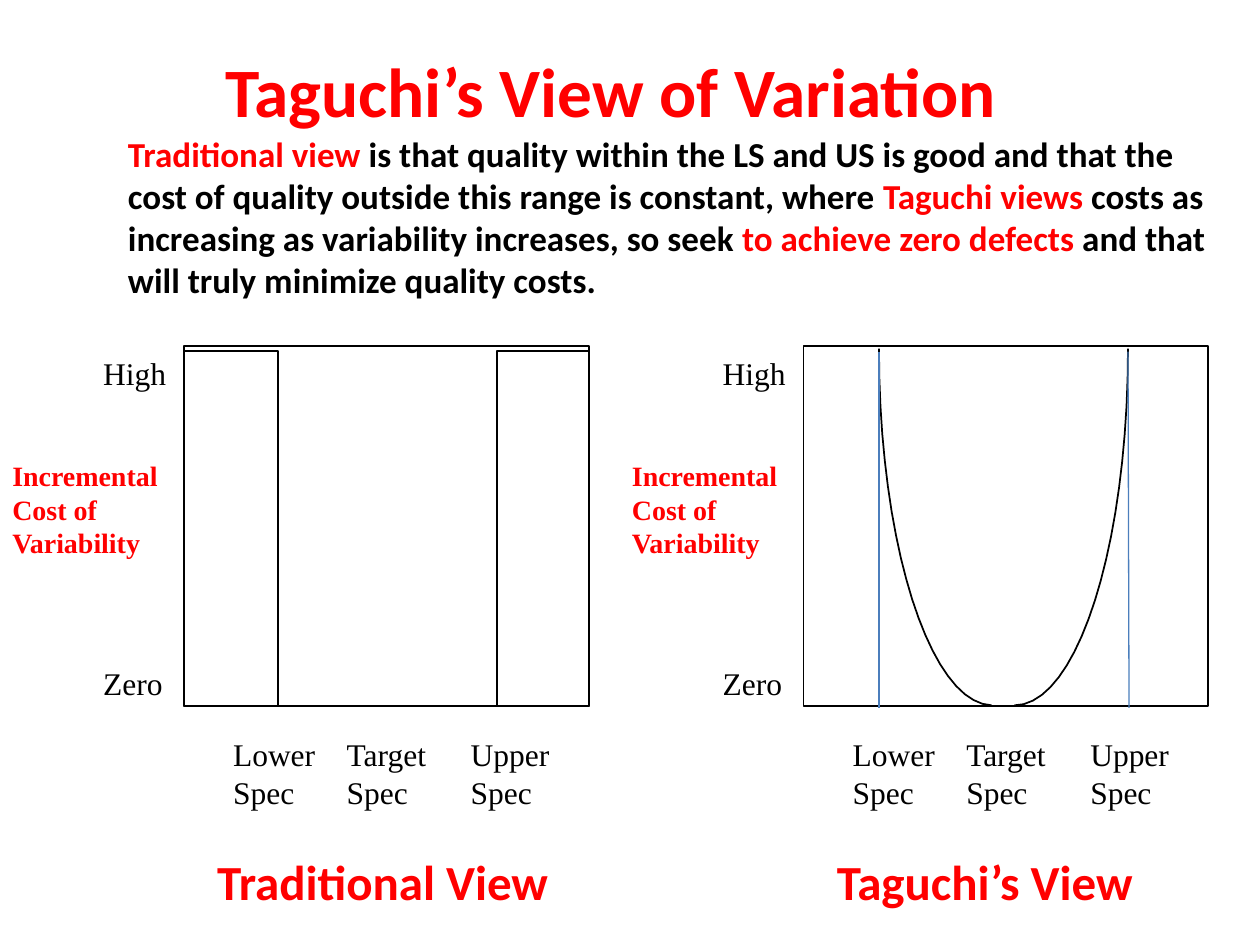
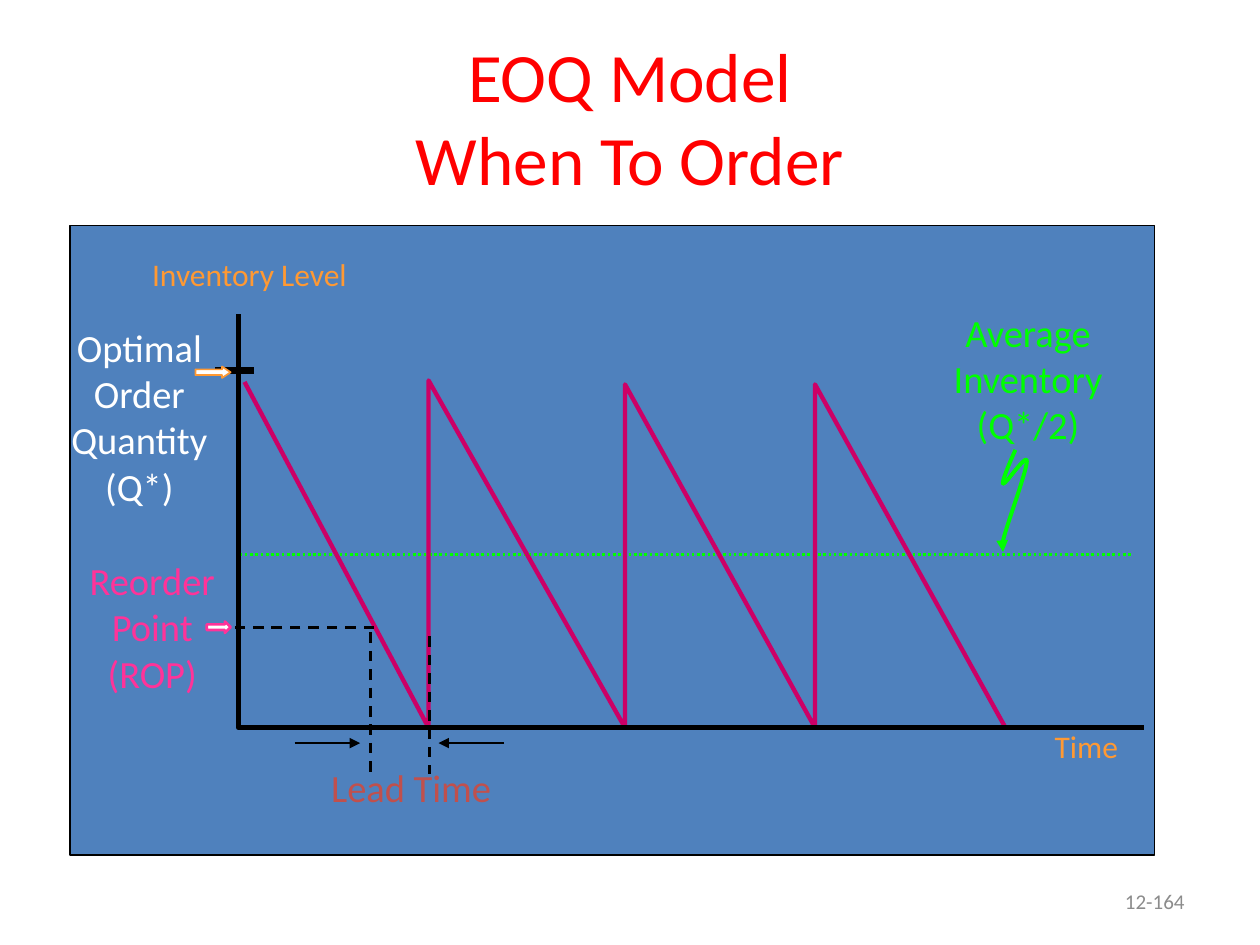
import pptx
import pptx.dml.color
import pptx.enum.dml
import pptx.enum.shapes
import pptx.enum.text
import pptx.oxml.ns
import pptx.util
from lxml import etree

Cm = pptx.util.Cm
Pt = pptx.util.Pt
rgb = pptx.dml.color.RGBColor.from_string
qn = pptx.oxml.ns.qn
ALIGN = pptx.enum.text.PP_ALIGN
ANCHOR = pptx.enum.text.MSO_ANCHOR
DASH = pptx.enum.dml.MSO_LINE
SHAPE = pptx.enum.shapes.MSO_SHAPE

# Shared style
RED, BLACK, WHITE, GREEN = "FF0000", "000000", "FFFFFF", "00FF00"
ORANGE, PINK, MAGENTA, BLUE = "FF9933", "FF3399", "CC0066", "4F81BD"
SERIF = "Times New Roman"
TITLE = dict(size=39.6, color=RED, align=ALIGN.CENTER, anchor=ANCHOR.MIDDLE)


def add_text(s, box, lines, size, color=BLACK, font="Calibri", bold=False,
             align=ALIGN.LEFT, anchor=ANCHOR.TOP):
    """Write one paragraph per line; a line is a string or a list of (text, colour)."""
    tf = s.shapes.add_textbox(*[Cm(v) for v in box]).text_frame
    tf.word_wrap = True
    tf.vertical_anchor = anchor
    for i, line in enumerate(lines):
        p = tf.paragraphs[0] if i == 0 else tf.add_paragraph()
        p.alignment = align
        for text, run_color in line if isinstance(line, list) else [(line, color)]:
            r = p.add_run()
            r.text = text
            r.font.name = font
            r.font.size = Pt(size)
            r.font.bold = bold
            r.font.color.rgb = rgb(run_color)


def add_path(s, points, color, width, dash=None, arrow=False, curve=False):
    """Draw a line, a polyline, or (curve) a chain of cubic Bezier segments."""
    if curve:
        steps = 20
        traced = [points[0]]
        for i in range(0, len(points) - 1, 3):
            a, b, c, d = points[i:i + 4]
            for t in [n / steps for n in range(1, steps + 1)]:
                u = 1 - t
                traced.append([u**3 * a[k] + 3 * u * u * t * b[k] + 3 * u * t * t * c[k] + t**3 * d[k]
                               for k in (0, 1)])
        points = traced
    points = [(Cm(x), Cm(y)) for x, y in points]
    if len(points) == 2:
        sp = s.shapes.add_connector(pptx.enum.shapes.MSO_CONNECTOR.STRAIGHT, *points[0], *points[1])
    else:
        fb = s.shapes.build_freeform(*points[0])
        fb.add_line_segments(points[1:], close=False)
        sp = fb.convert_to_shape()
        sp.fill.background()
    sp.line.color.rgb = rgb(color)
    sp.line.width = Pt(width)
    if dash:
        sp.line.dash_style = dash
    if arrow:
        etree.SubElement(sp.line._get_or_add_ln(), qn("a:tailEnd"), type="triangle")
    etree.SubElement(sp._element.spPr, qn("a:effectLst"))


prs = pptx.Presentation()
prs.slide_width, prs.slide_height = Cm(25.4), Cm(19.05)

# Slide 1: two views of variation
s = prs.slides.add_slide(prs.slide_layouts[6])

# Two panels with the same frame and labels
frame = (3.71, 6.98, 8.16, 7.26)
lower_bar = (3.71, 7.08, 1.89, 7.16)
upper_bar = (10.02, 7.08, 1.85, 7.16)
panels = [(0, "Traditional View", [frame, lower_bar, upper_bar]),
          (12.49, "Taguchi’s View", [frame])]
labels = [(1.83, 7.01, ["High"]),
          (1.83, 13.26, ["Zero"]),
          (4.45, 14.7, ["Lower", "Spec"]),
          (6.74, 14.7, ["Target", "Spec"]),
          (9.24, 14.7, ["Upper", "Spec"])]
for dx, caption, boxes in panels:
    for x, y, w, h in boxes:
        sp = s.shapes.add_shape(SHAPE.RECTANGLE, Cm(x + dx), Cm(y), Cm(w), Cm(h))
        sp.shadow.inherit = False
        sp.fill.background()
        sp.line.color.rgb = rgb(BLACK)
        sp.line.width = Pt(1)
    add_text(s, (dx, 9.12, 3.7, 2.31), ["Incremental", "Cost of", "Variability"],
             16, RED, SERIF, bold=True)
    for x, y, lines in labels:
        add_text(s, (x + dx, y, 2.28, 0.25 + 0.76 * len(lines)), lines, 18, font=SERIF)
    add_text(s, (4.13 + dx, 17.04, 8.08, 1.42), [caption], 28, RED, bold=True)

# Taguchi's cost curve, one branch on each side of the target
add_path(s, [(22.74, 7.03), (22.74, 11), (21.72, 14.22), (20.45, 14.22)], BLACK, 1, curve=True)
add_path(s, [(19.99, 14.22), (18.75, 14.17), (17.72, 10.97), (17.72, 7.03)], BLACK, 1, curve=True)

# Title and explanation
add_text(s, (1.28, 0.84, 22.07, 1.96), ["Taguchi’s View of Variation"], bold=True, **TITLE)
add_text(s, (2.33, 2.54, 22.23, 4.52), [[
    ("Traditional view", RED),
    (" is that quality within the LS and US is good and that the cost of quality "
     "outside this range is constant, where ", BLACK),
    ("Taguchi views ", RED),
    ("costs as increasing as variability increases, so seek ", BLACK),
    ("to achieve zero defects", RED),
    (" and that will truly minimize quality costs.", BLACK),
]], 20, bold=True)

# Specification limits
for top_x, bottom_x in [(17.72, 17.72), (22.74, 22.76)]:
    add_path(s, [(top_x, 7.09), (bottom_x, 14.27)], "4B7EBC", 0.75)

# Slide 2: EOQ model
s = prs.slides.add_slide(prs.slide_layouts[6])
add_text(s, (18.21, 17.65, 5.92, 1.02), ["12-164"], 12, "8C8C8C",
         align=ALIGN.RIGHT, anchor=ANCHOR.MIDDLE)
add_text(s, (1.27, 0.76, 22.86, 3.18), ["EOQ Model", "When To Order"], **TITLE)

# Diagram background
sp = s.shapes.add_shape(SHAPE.RECTANGLE, Cm(1.41), Cm(4.54), Cm(21.87), Cm(12.7))
sp.shadow.inherit = False
sp.fill.solid()
sp.fill.fore_color.rgb = rgb(BLUE)
sp.line.color.rgb = rgb(BLACK)
sp.line.width = Pt(0.75)

# Average level, inventory sawtooth, axes and the Q* tick
base = 14.67
add_path(s, [(4.83, 11.18), (22.81, 11.18)], GREEN, 1.5, DASH.ROUND_DOT)
sawtooth = [(4.93, 7.7)]
for x, peak in [(8.64, 7.67), (12.6, 7.75), (16.43, 7.75)]:
    sawtooth += [(x, base), (x, peak)]
add_path(s, sawtooth + [(20.27, base)], MAGENTA, 2.5)
add_path(s, [(4.81, 6.34), (4.81, base), (23.07, base)], BLACK, 3)
add_path(s, [(4.34, 7.47), (5.13, 7.47)], BLACK, 4)

# Labels
for box, lines, size, color in [
    ((1.19, 11.11, 3.76, 3.05), ["Reorder Point (ROP)"], 22, PINK),
    ((20.73, 14.53, 2.34, 1.24), ["Time"], 18, ORANGE),
    ((1.88, 5.01, 6.3, 1.24), ["Inventory Level"], 18, ORANGE),
    ((18.58, 6.1, 4.29, 3.05), ["Average", "Inventory (Q*/2)"], 22, GREEN),
    ((6.26, 15.27, 4.06, 1.17), ["Lead Time"], 22, "C0504D"),
    ((0.92, 6.41, 3.78, 3.99), ["Optimal Order Quantity", "(Q*)"], 22, WHITE),
]:
    add_text(s, box, lines, size, color, align=ALIGN.CENTER)

# Reorder point and lead time guides
for start, end in [((7.47, 12.75), (7.47, 15.6)),
                   ((7.54, 12.65), (4.19, 12.65)),
                   ((8.66, 12.83), (8.66, 15.6))]:
    add_path(s, [start, end], BLACK, 1.5, DASH.DASH)
for x1, x2 in [(5.94, 7.26), (10.16, 8.84)]:
    add_path(s, [(x1, 14.98), (x2, 14.98)], BLACK, 1.5, arrow=True)

# Block arrows pointing at the vertical axis
for x, y, w, head, color, width in [(3.94, 7.39, 0.71, 0.75, ORANGE, 1),
                                    (4.17, 12.53, 0.48, 0.5, PINK, 1.5)]:
    sp = s.shapes.add_shape(SHAPE.RIGHT_ARROW, Cm(x), Cm(y), Cm(w), Cm(0.23))
    sp.adjustments[1] = head
    sp.shadow.inherit = False
    sp.fill.solid()
    sp.fill.fore_color.rgb = rgb(WHITE)
    sp.line.color.rgb = rgb(color)
    sp.line.width = Pt(width)

# Squiggle from the average label to its level
add_path(s, [(20.47, 9.07), (20.32, 9.4), (20.19, 9.73), (20.22, 9.75),
             (20.27, 9.78), (20.7, 9.12), (20.7, 9.3),
             (20.7, 9.5), (20.29, 10.59), (20.22, 10.9),
             (20.14, 11.2), (20.19, 11.15), (20.22, 11.13)],
         GREEN, 2.25, arrow=True, curve=True)

prs.save("out.pptx")
